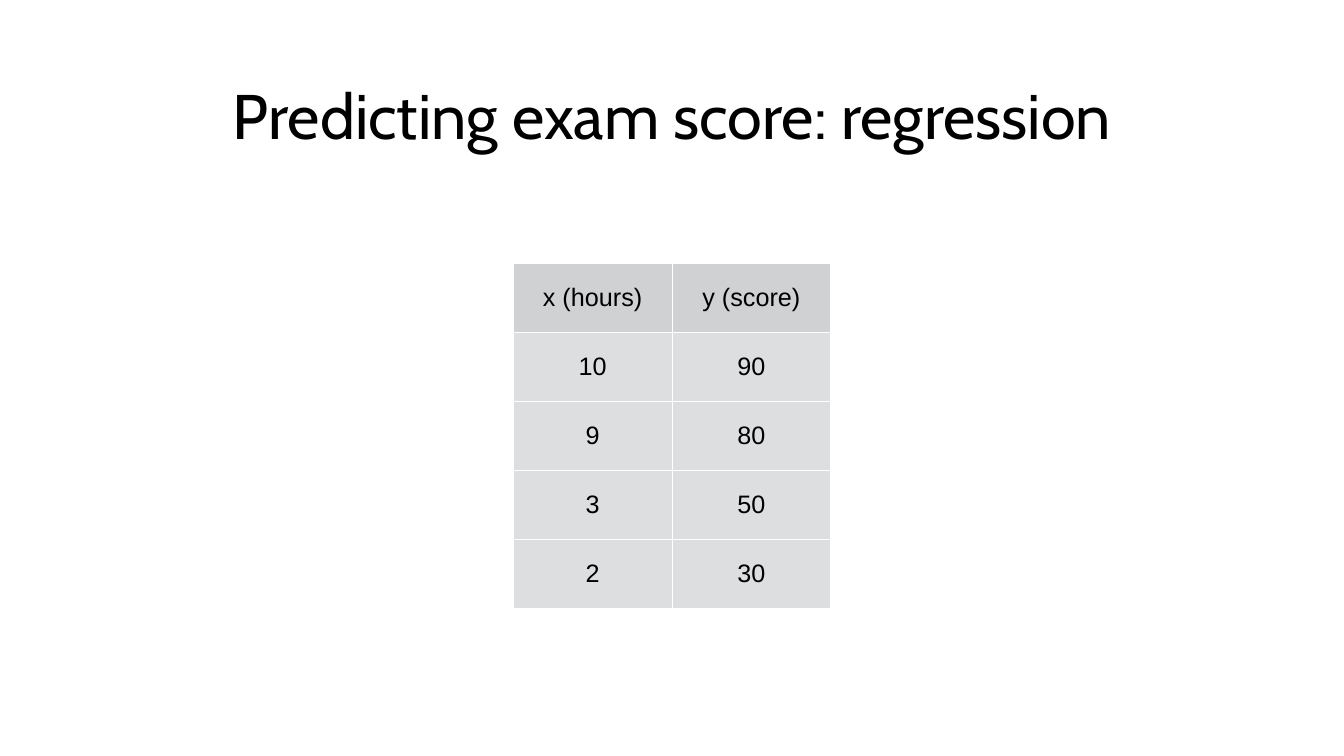
import dataclasses
import pptx
import pptx.util
import pptx.dml.color
import pptx.enum.text
import pptx.oxml
from pptx.oxml.ns import nsdecls

TITLE = "Predicting exam score: regression"
ROWS = [
    ("x (hours)", "y (score)"),
    ("10", "90"),
    ("9", "80"),
    ("3", "50"),
    ("2", "30"),
]


@dataclasses.dataclass(frozen=True)
class Theme:
    ink: str = "000000"
    head: str = "D0D1D2"
    body: str = "DCDEE0"
    rule: str = "FFFFFF"
    title_font: str = "Cabin"
    cell_font: str = "Arial"
    title_size: int = 90
    cell_size: int = 36
    rule_width: int = 1


THEME = Theme()
Inches, Pt = pptx.util.Inches, pptx.util.Pt
WIDE, HIGH = 26.67, 15
COL, ROW = 3.15, 1.37
TOP = 5.23


def color(code):
    return pptx.dml.color.RGBColor.from_string(code)


def write(frame, text, font, size):
    par = frame.paragraphs[0]
    par.alignment = pptx.enum.text.PP_ALIGN.CENTER
    run = par.add_run()
    run.text = text
    run.font.name = font
    run.font.size = Pt(size)
    run.font.color.rgb = color(THEME.ink)


def pad(box, gap):
    box.margin_left = box.margin_right = Inches(gap)
    box.margin_top = box.margin_bottom = Inches(gap)
    box.vertical_anchor = pptx.enum.text.MSO_ANCHOR.MIDDLE


def rule(cell):
    """Draw a line on all four sides of a cell."""
    props = cell._tc.get_or_add_tcPr()
    for spot, side in enumerate(("lnL", "lnR", "lnT", "lnB")):
        props.insert(spot, pptx.oxml.parse_xml(
            f'<a:{side} {nsdecls("a")} w="{Pt(THEME.rule_width)}"><a:solidFill>'
            f'<a:srgbClr val="{THEME.rule}"/></a:solidFill></a:{side}>'))


def add_title(slide):
    title = slide.shapes.title
    title.left, title.top = Inches(0), Inches(0.39)
    title.width, title.height = Inches(WIDE), Inches(3.75)
    frame = title.text_frame
    frame.word_wrap = True
    frame.auto_size = pptx.enum.text.MSO_AUTO_SIZE.NONE
    pad(frame, 0.08)
    write(frame, TITLE, THEME.title_font, THEME.title_size)


def add_scores(slide):
    count, cols = len(ROWS), len(ROWS[0])
    width = COL * cols
    table = slide.shapes.add_table(
        count, cols, Inches((WIDE - width) / 2), Inches(TOP),
        Inches(width), Inches(ROW * count)).table
    for r, row in enumerate(ROWS):
        for c, text in enumerate(row):
            cell = table.cell(r, c)
            cell.fill.solid()
            cell.fill.fore_color.rgb = color(THEME.body if r else THEME.head)
            pad(cell, 0.06)
            rule(cell)
            write(cell.text_frame, text, THEME.cell_font, THEME.cell_size)


def main():
    deck = pptx.Presentation()
    deck.slide_width, deck.slide_height = Inches(WIDE), Inches(HIGH)
    slide = deck.slides.add_slide(deck.slide_layouts.get_by_name("Title Only"))
    add_title(slide)
    add_scores(slide)
    deck.save("out.pptx")


if __name__ == "__main__":
    main()
